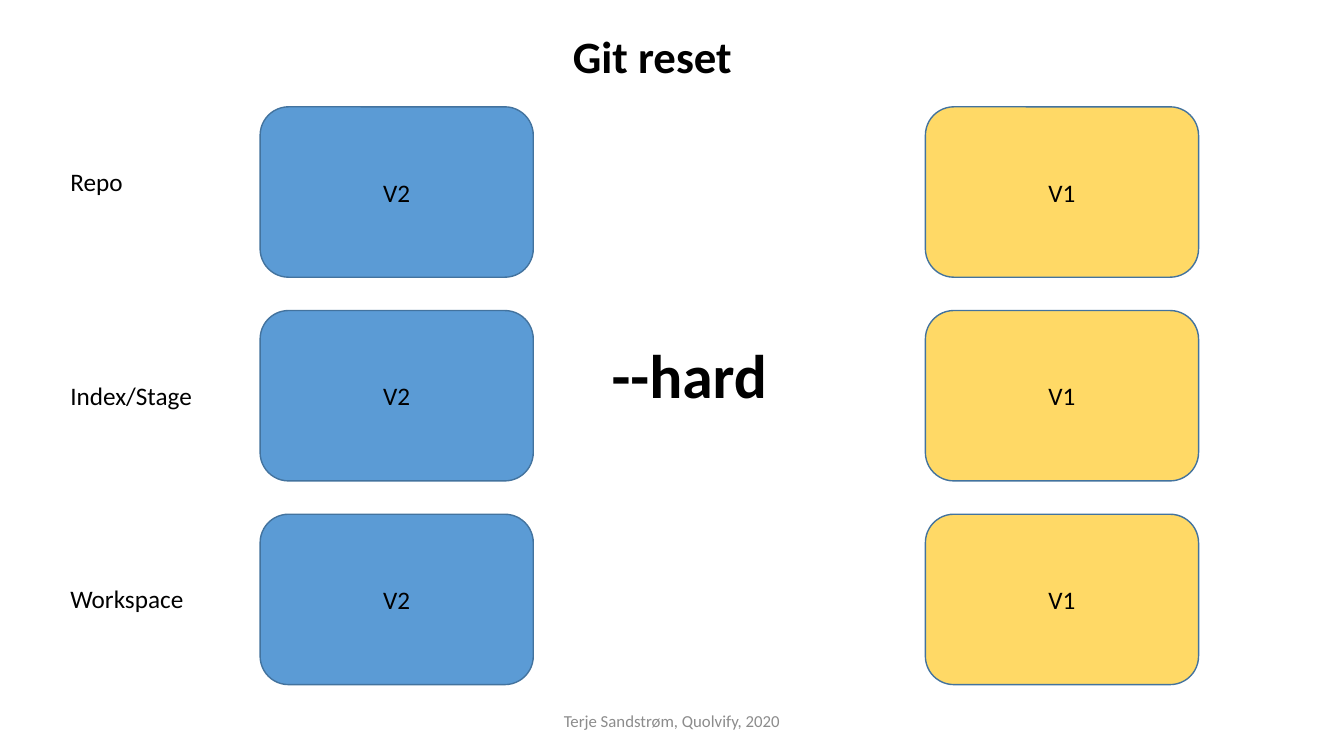
from pptx import Presentation
from pptx.dml.color import RGBColor
from pptx.enum.shapes import MSO_SHAPE
from pptx.enum.text import MSO_ANCHOR, MSO_AUTO_SIZE, PP_ALIGN
from pptx.util import Pt

BLACK = RGBColor(0x00, 0x00, 0x00)
GRAY = RGBColor(0x8C, 0x8C, 0x8C)
BLUE = RGBColor(0x5B, 0x9B, 0xD5)
YELLOW = RGBColor(0xFF, 0xD9, 0x66)
OUTLINE = RGBColor(0x43, 0x73, 0x9E)

ROW_TOP, ROW_STEP = 76.3, 145.5
CARD_WIDTH, CARD_HEIGHT = 195.1, 121.7
# Each area of Git with the drop of its label below the row's top
AREAS = [("Repo", 38.9), ("Index/Stage", 46), ("Workspace", 46)]


def write_text(shape, text, size, color=BLACK, bold=False,
               align=PP_ALIGN.LEFT, anchor=MSO_ANCHOR.TOP):
    frame = shape.text_frame
    frame.text = text
    frame.word_wrap = True
    frame.auto_size = MSO_AUTO_SIZE.NONE
    frame.vertical_anchor = anchor
    paragraph = frame.paragraphs[0]
    paragraph.alignment = align
    font = paragraph.runs[0].font
    font.name = "Calibri"
    font.size = Pt(size)
    font.bold = bold
    font.color.rgb = color


def add_title(slide, left, top, width, height):
    title = slide.shapes.title
    title.left, title.top = Pt(left), Pt(top)
    title.width, title.height = Pt(width), Pt(height)
    write_text(title, "Git reset", 32, bold=True, align=PP_ALIGN.CENTER)


def add_label(slide, left, top, width, height, text, size, **style):
    label = slide.shapes.add_textbox(Pt(left), Pt(top), Pt(width), Pt(height))
    write_text(label, text, size, **style)


def add_area_labels(slide, left, top, width):
    for row, (name, drop) in enumerate(AREAS):
        add_label(slide, left, top + row * ROW_STEP + drop, width, 29, name, 18)


def add_version_column(slide, left, top, version, color):
    """Stack one card per Git area, all showing the same version."""
    for row in range(len(AREAS)):
        card = slide.shapes.add_shape(
            MSO_SHAPE.ROUNDED_RECTANGLE, Pt(left), Pt(top + row * ROW_STEP),
            Pt(CARD_WIDTH), Pt(CARD_HEIGHT))
        card.shadow.inherit = False
        card.fill.solid()
        card.fill.fore_color.rgb = color
        card.line.color.rgb = OUTLINE
        card.line.width = Pt(1)
        write_text(card, version, 18, align=PP_ALIGN.CENTER,
                   anchor=MSO_ANCHOR.MIDDLE)


def main():
    presentation = Presentation()
    presentation.slide_width = Pt(960)
    presentation.slide_height = Pt(540)
    slide = presentation.slides.add_slide(presentation.slide_layouts[5])

    add_title(slide, 309, 16.6, 314, 46)
    add_area_labels(slide, 43.2, ROW_TOP, 112.3)
    add_version_column(slide, 185.8, ROW_TOP, "V2", BLUE)
    add_version_column(slide, 661, ROW_TOP, "V1", YELLOW)
    add_label(slide, 429.8, 236.9, 180.7, 60.5, "--hard", 44, bold=True)
    add_label(slide, 318, 500.5, 324, 28.8, "Terje Sandstrøm, Quolvify, 2020", 12,
              color=GRAY, align=PP_ALIGN.CENTER, anchor=MSO_ANCHOR.MIDDLE)

    presentation.save("out.pptx")


if __name__ == "__main__":
    main()
